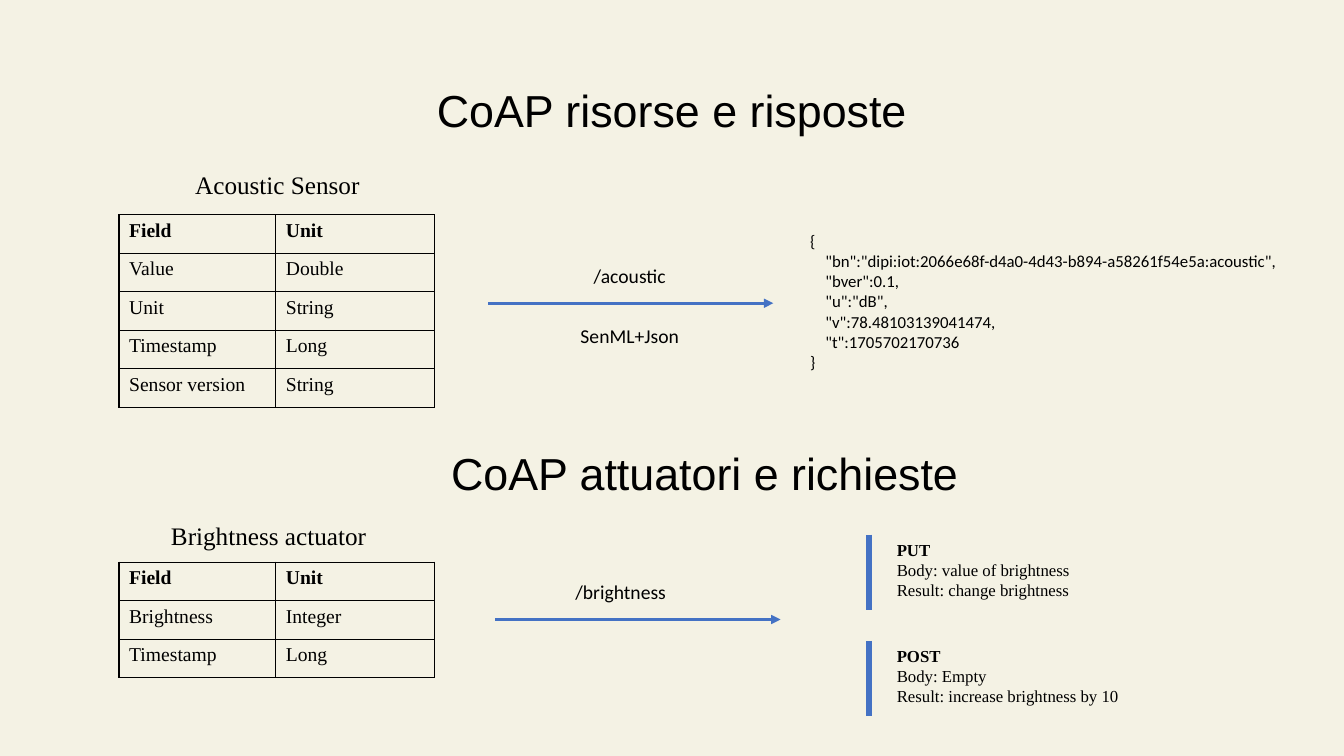
import pptx
import pptx.util
import pptx.dml.color
import pptx.enum.shapes
import pptx.enum.text
import pptx.oxml
import pptx.oxml.ns

Cm = pptx.util.Cm
Pt = pptx.util.Pt
ALIGN = pptx.enum.text.PP_ALIGN
ANCHOR = pptx.enum.text.MSO_ANCHOR
COLOURS = {"paper": "F4F2E4", "ink": "000000", "accent": "4472C4"}
SERIF = "Times New Roman"
NAMESPACE = pptx.oxml.ns.nsdecls("a")

deck = pptx.Presentation()
deck.slide_width = Cm(33.87)
deck.slide_height = Cm(19.05)
page = deck.slides.add_slide(deck.slide_layouts[6])
page.background.fill.solid()
page.background.fill.fore_color.rgb = pptx.dml.color.RGBColor.from_string(COLOURS["paper"])


def write(text, *, at, size, font="Calibri", align=ALIGN.LEFT, anchor=ANCHOR.TOP,
          wrap=False, spacing=None, bold_heading=False):
    box = page.shapes.add_textbox(*[Cm(length) for length in at])
    frame = box.text_frame
    frame.word_wrap = wrap
    frame.vertical_anchor = anchor
    for index, line in enumerate(text.split("\n")):
        para = frame.paragraphs[0] if index == 0 else frame.add_paragraph()
        para.alignment = align
        para.line_spacing = spacing
        span = para.add_run()
        span.text = line
        span.font.name = font
        span.font.size = Pt(size)
        span.font.bold = bold_heading and index == 0
        span.font.color.rgb = pptx.dml.color.RGBColor.from_string(COLOURS["ink"])


def draw_line(start, end, *, width, arrow=False):
    line = page.shapes.add_connector(
        pptx.enum.shapes.MSO_CONNECTOR.STRAIGHT, *[Cm(length) for length in start + end])
    line.line.width = Pt(width)
    line.line.color.rgb = pptx.dml.color.RGBColor.from_string(COLOURS["accent"])
    if arrow:
        line.line._get_or_add_ln().append(
            pptx.oxml.parse_xml(f'<a:tailEnd {NAMESPACE} type="triangle"/>'))
    line._element.spPr.append(pptx.oxml.parse_xml(f"<a:effectLst {NAMESPACE}/>"))


write("CoAP risorse e risposte", at=(2.33, 1.01, 29.21, 3.68), size=32, font="Arial",
      align=ALIGN.CENTER, anchor=ANCHOR.MIDDLE, wrap=True, spacing=0.9)
write("CoAP attuatori e richieste", at=(9.3, 11.1, 16.93, 1.62), size=32, font="Arial",
      align=ALIGN.CENTER, wrap=True)

write("Acoustic Sensor", at=(4.67, 4.14, 5.1, 1.02), size=18, font=SERIF)
write("Brightness actuator", at=(4.06, 12.98, 6.27, 1.02), size=18, font=SERIF, wrap=True)

acoustic_fields = [("Field", "Unit"), ("Value", "Double"), ("Unit", "String"),
                   ("Timestamp", "Long"), ("Sensor version", "String")]
brightness_fields = [("Field", "Unit"), ("Brightness", "Integer"), ("Timestamp", "Long")]
row_height = 0.97
column_widths = (3.95, 4)

for top, rows in [(5.41, acoustic_fields), (14.17, brightness_fields)]:
    table = page.shapes.add_table(len(rows), 2, Cm(3), Cm(top), Cm(sum(column_widths)),
                                  Cm(row_height * len(rows))).table
    for column, width in zip(table.columns, column_widths):
        column.width = Cm(width)
    for row_index, values in enumerate(rows):
        table.rows[row_index].height = Cm(row_height)
        for column_index, value in enumerate(values):
            cell = table.cell(row_index, column_index)
            cell.fill.solid()
            cell.fill.fore_color.rgb = pptx.dml.color.RGBColor.from_string(COLOURS["paper"])
            span = cell.text_frame.paragraphs[0].add_run()
            span.text = value
            span.font.name = SERIF
            span.font.size = Pt(14)
            span.font.bold = row_index == 0
            span.font.color.rgb = pptx.dml.color.RGBColor.from_string(COLOURS["ink"])
            properties = cell._tc.get_or_add_tcPr()
            for position, side in enumerate(("lnL", "lnR", "lnT", "lnB")):
                properties.insert(position, pptx.oxml.parse_xml(
                    f'<a:{side} {NAMESPACE} w="{Pt(1)}"><a:solidFill>'
                    f'<a:srgbClr val="{COLOURS["ink"]}"/></a:solidFill></a:{side}>'))

draw_line((12.3, 7.64), (19.49, 7.64), width=2.25, arrow=True)
draw_line((12.48, 15.61), (19.67, 15.61), width=2.25, arrow=True)
write("/acoustic", at=(14.71, 6.53, 2.51, 0.86), size=14)
write("SenML+Json", at=(14.38, 8.03, 3.4, 0.86), size=14)
write("/brightness", at=(14.25, 14.5, 3.28, 0.86), size=14, wrap=True)

write("""{
    "bn":"dipi:iot:2066e68f-d4a0-4d43-b894-a58261f54e5a:acoustic",
    "bver":0.1,
    "u":"dB",
    "v":78.48103139041474,
    "t":1705702170736
}""", at=(20.17, 5.69, 13.69, 3.84), size=12)

requests = [
    (13.47, 5.44, "PUT\nBody: value of brightness\nResult: change brightness"),
    (16.15, 6.78, "POST\nBody: Empty\nResult: increase brightness by 10"),
]
for top, width, text in requests:
    draw_line((21.9, top), (21.9, top + 1.89), width=4.5)
    write(text, at=(22.35, top, width, 1.8), size=12, font=SERIF, bold_heading=True)

deck.save("out.pptx")
